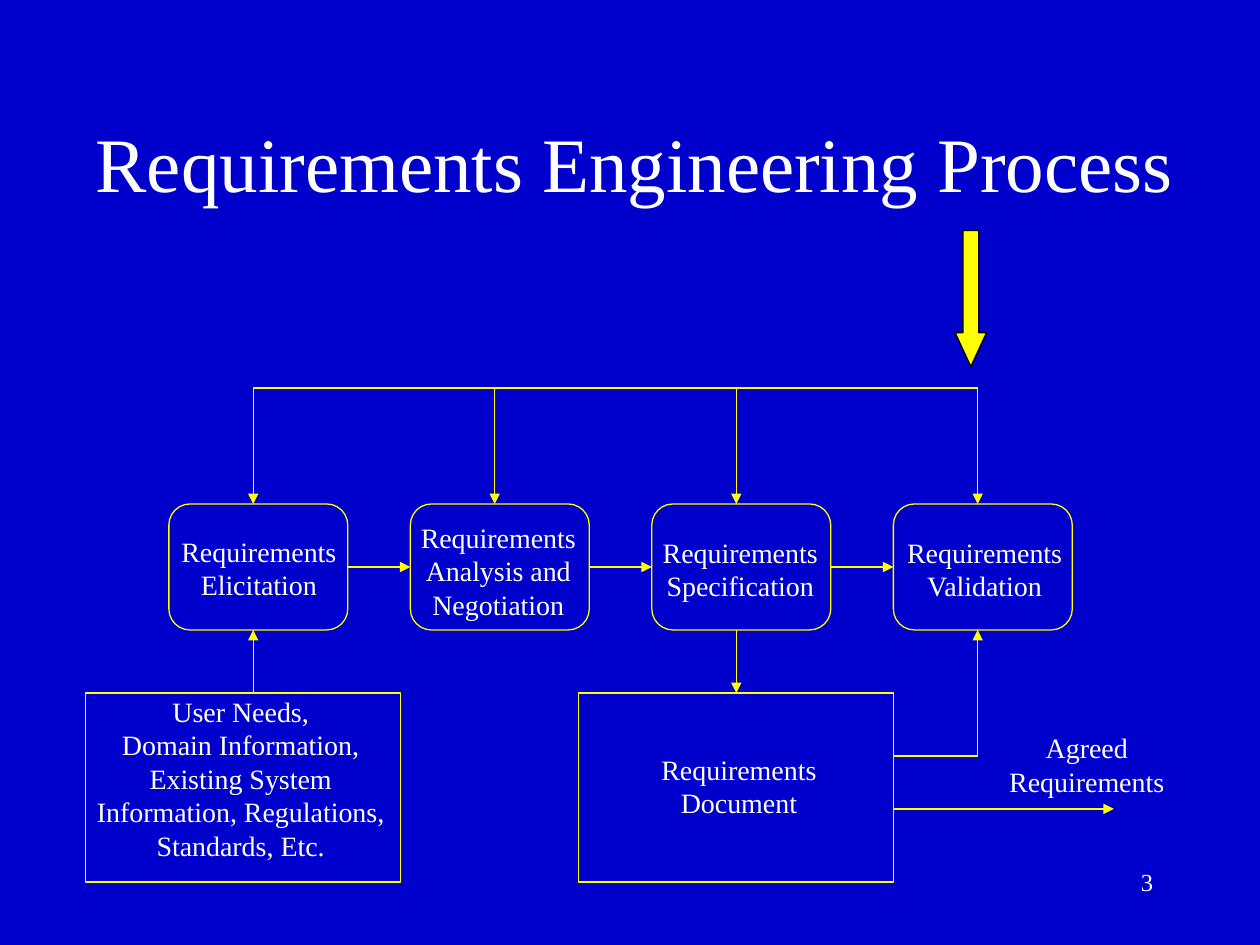
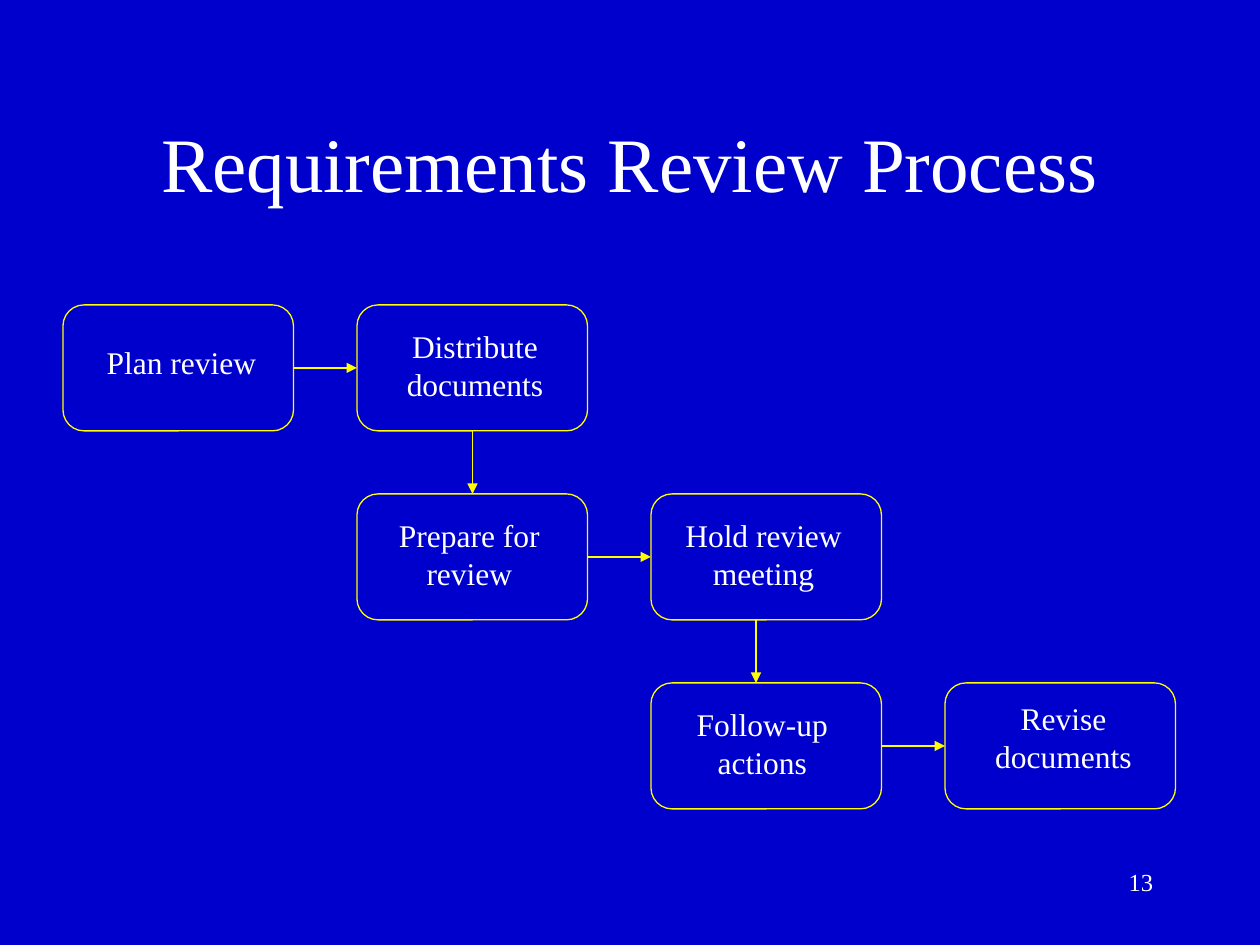
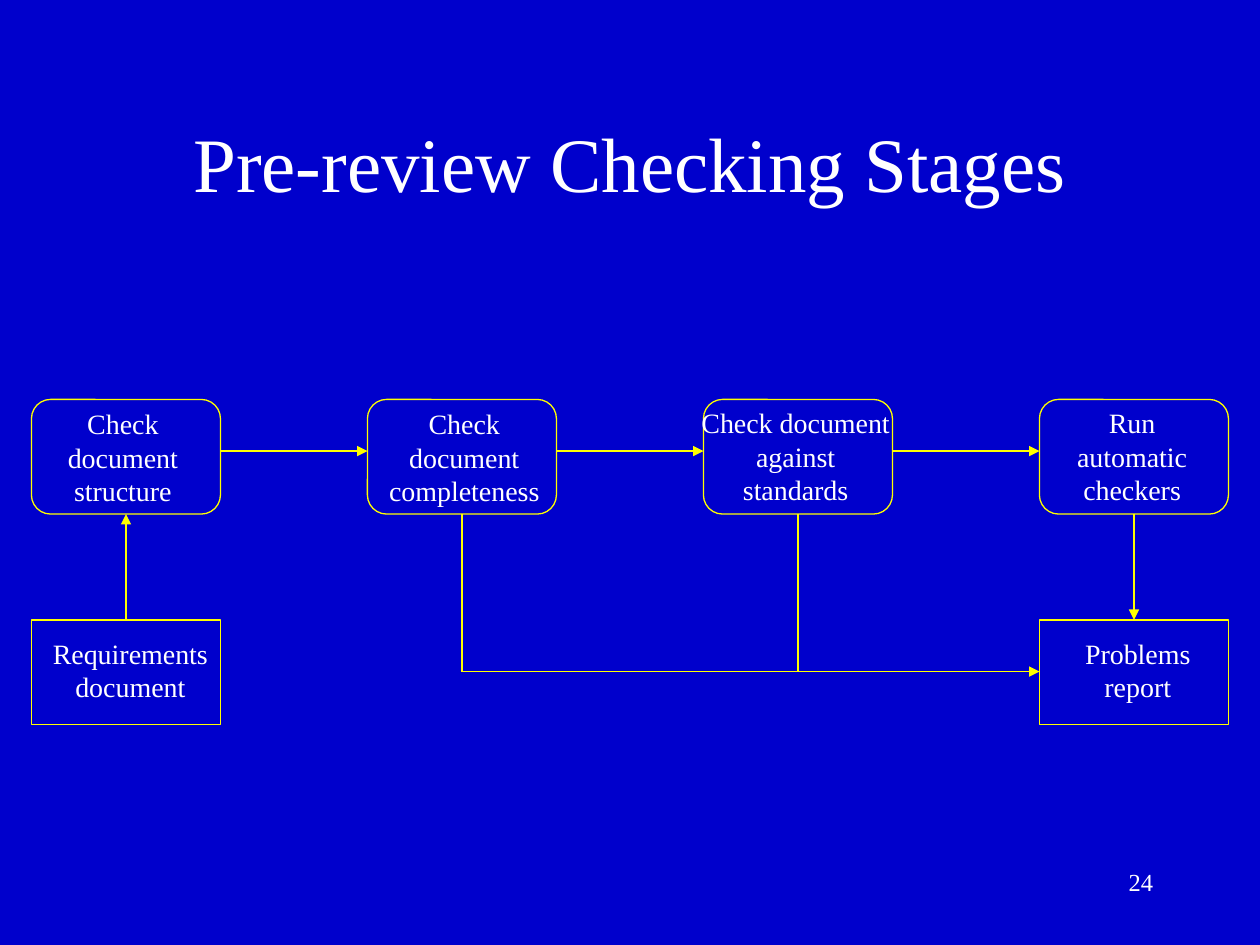
from lxml.etree import SubElement
from pptx import Presentation
from pptx.dml.color import RGBColor
from pptx.enum.shapes import MSO_CONNECTOR as CONN, MSO_SHAPE as SHAPE
from pptx.enum.text import MSO_ANCHOR as ANCHOR, MSO_AUTO_SIZE as AUTO, PP_ALIGN as ALIGN
from pptx.oxml.ns import qn
from pptx.util import Inches, Pt

COLORS = {"back": "0000CC", "text": "FFFFFF", "line": "FFFF00", "edge": "000000"}


def rgb(name):
    return RGBColor.from_string(COLORS[name])


class Deck:
    font = "Times New Roman"
    rounding = 0.167
    slack = 0.02  # room on each side of a label, so that its lines never break

    def __init__(self):
        self.prs = Presentation()
        self.prs.slide_width, self.prs.slide_height = Inches(10), Inches(7.5)
        self.s = None

    def slide(self, title, number, left=0.75, width=8.5):
        """Start a slide with its background, title and page number."""
        self.s = self.prs.slides.add_slide(self.prs.slide_layouts[6])
        fill = self.s.background.fill
        fill.solid()
        fill.fore_color.rgb = rgb("back")
        self.text([title], left, 0.66, width, 1.25, 44,
                  word_wrap=True, vertical_anchor=ANCHOR.MIDDLE)
        self.text([str(number)], 7.17, 6.83, 2.08, 0.5, 14, ALIGN.RIGHT, word_wrap=True)

    def text(self, lines, x, y, w, h, size, align=ALIGN.CENTER, **frame):
        tf = self.s.shapes.add_textbox(*map(Inches, (x, y, w, h))).text_frame
        for key, value in frame.items():
            setattr(tf, key, value)
        for i, line in enumerate(lines):
            p = tf.add_paragraph() if i else tf.paragraphs[0]
            p.alignment = align
            r = p.add_run()
            r.text = line
            for key, value in {"name": self.font, "size": Pt(size)}.items():
                setattr(r.font, key, value)
            r.font.color.rgb = rgb("text")

    def label(self, text, x, y, w, size=16):
        """Centred lines in a box as tall as its text."""
        lines = text.split("\n")
        height = len(lines) * size * 1.2 / 72 + 0.1
        self.text(lines, x - self.slack, y, w + 2 * self.slack, height, size,
                  word_wrap=False, auto_size=AUTO.SHAPE_TO_FIT_TEXT)

    def shape(self, kind, x, y, w, h, adjust=(), fill=None, line="line"):
        sp = self.s.shapes.add_shape(kind, *map(Inches, (x, y, w, h)))
        sp.shadow.inherit = False
        for i, value in enumerate(adjust):
            sp.adjustments[i] = value
        if fill:
            sp.fill.solid()
            sp.fill.fore_color.rgb = rgb(fill)
        else:
            sp.fill.background()
        sp.line.color.rgb = rgb(line)
        sp.line.width = Pt(0.75)

    def step(self, x, y, w, h):
        self.shape(SHAPE.ROUNDED_RECTANGLE, x, y, w, h, (self.rounding,))

    def document(self, x, y, w, h):
        self.shape(SHAPE.RECTANGLE, x, y, w, h)

    def line(self, x1, y1, x2, y2, width=0.75, arrow=False):
        cn = self.s.shapes.add_connector(CONN.STRAIGHT, *map(Inches, (x1, y1, x2, y2)))
        cn.line.color.rgb = rgb("line")
        cn.line.width = Pt(width)
        if arrow:
            SubElement(cn.line._get_or_add_ln(), qn("a:tailEnd"), type="triangle")
        SubElement(cn._element.spPr, qn("a:effectLst"))

    def arrow(self, x1, y1, x2, y2, width=0.75):
        self.line(x1, y1, x2, y2, width, arrow=True)


def engineering_process(d):
    d.slide("Requirements Engineering Process", 3, 0.58, 8.92)
    pitch, width, top, bottom = 5.75 / 3, 1.42, 4, 5
    lefts = [1.34 + pitch * i for i in range(4)]
    ports = [x + 0.67 for x in lefts]

    # Steps, with the feedback line above them
    d.line(ports[0], 3.08, ports[-1], 3.08)
    for left, port in zip(lefts, ports):
        d.step(left, top, width, bottom - top)
        d.arrow(port, 3.08, port, top)
    for left, following in zip(lefts, lefts[1:]):
        d.arrow(left + width, 4.5, following, 4.5, 1)
    for text, x, y in [
        ("Requirements\nElicitation", 1.34, 4.19),
        ("Requirements\nAnalysis and\nNegotiation", 3.24, 4.08),
        ("Requirements\nSpecification", 5.16, 4.2),
        ("Requirements\nValidation", 7.1, 4.2),
    ]:
        d.label(text, x, y, 1.43)

    # Inputs and the resulting document
    for x in (0.68, 4.59):
        d.document(x, 5.5, 2.5, 1.5)
    d.label("User Needs,\nDomain Information,\nExisting System\n"
            "Information, Regulations,\nStandards, Etc.", 0.67, 5.46, 2.48)
    d.label("Requirements\nDocument", 5.15, 5.92, 1.43)
    d.label("Agreed\nRequirements", 7.91, 5.75, 1.43)
    d.arrow(ports[0], 5.5, ports[0], bottom)
    d.arrow(ports[2], bottom, ports[2], 5.5)
    d.line(7.09, 6, ports[3], 6)
    d.arrow(ports[3], 6, ports[3], bottom)
    d.arrow(7.09, 6.42, 8.84, 6.42)

    # Marker of the current step
    d.shape(SHAPE.DOWN_ARROW, 7.58, 1.83, 0.25, 1.08, (0.5, 1.08), "line", "edge")


def review_process(d):
    d.slide("Requirements Review Process", 13)
    width, height, gap = 1.83, 1, 0.5
    lefts = [0.5 + 7 / 3 * i for i in range(4)]
    tops = [2.42 + (height + gap) * i for i in range(3)]

    # Staircase: two steps in each row
    for row, top in enumerate(tops):
        for left in lefts[row:row + 2]:
            d.step(left, top, width, height)
        middle = top + height / 2
        d.arrow(lefts[row] + width, middle, lefts[row + 1], middle)
    for x, top in zip((3.75, 6), tops):
        d.arrow(x, top + height, x, top + height + gap)

    for text, x, y, w in [
        ("Plan review", 0.75, 2.67, 1.38),
        ("Distribute\ndocuments", 3.13, 2.55, 1.28),
        ("Prepare for\nreview", 3.07, 4.05, 1.31),
        ("Hold review\nmeeting", 5.34, 4.05, 1.44),
        ("Follow-up\nactions", 5.43, 5.55, 1.24),
        ("Revise\ndocuments", 7.8, 5.5, 1.28),
    ]:
        d.label(text, x, y, w, 18)


def checking_stages(d):
    d.slide("Pre-review Checking Stages", 24)
    width, top, bottom, doc_top, report_y = 1.5, 3.17, 4.08, 4.92, 5.33
    lefts = [0.25 + 8 / 3 * i for i in range(4)]
    centers = [x + width / 2 for x in lefts]

    # Checks
    for left in lefts:
        d.step(left, top, width, bottom - top)
    for left, following in zip(lefts, lefts[1:]):
        d.arrow(left + width, 3.58, following, 3.58)

    # Documents and the lines to the report
    for left in (lefts[0], lefts[-1]):
        d.document(left, doc_top, width, 0.83)
    d.arrow(centers[0], doc_top, centers[0], bottom)
    d.arrow(centers[3], bottom, centers[3], doc_top)
    for x in centers[1:3]:
        d.line(x, bottom, x, report_y)
    d.arrow(centers[1], report_y, lefts[3], report_y)

    for text, x, y, w in [
        ("Check\ndocument\nstructure", 0.44, 3.18, 1.07),
        ("Check\ndocument\ncompleteness", 2.99, 3.18, 1.39),
        ("Check document\nagainst\nstandards", 5.47, 3.17, 1.69),
        ("Run\nautomatic\ncheckers", 8.45, 3.17, 1.07),
        ("Requirements\ndocument", 0.32, 5, 1.43),
        ("Problems\nreport", 8.51, 5, 1.04),
    ]:
        d.label(text, x, y, w)


def main():
    d = Deck()
    for build in (engineering_process, review_process, checking_stages):
        build(d)
    d.prs.save("out.pptx")


if __name__ == "__main__":
    main()
